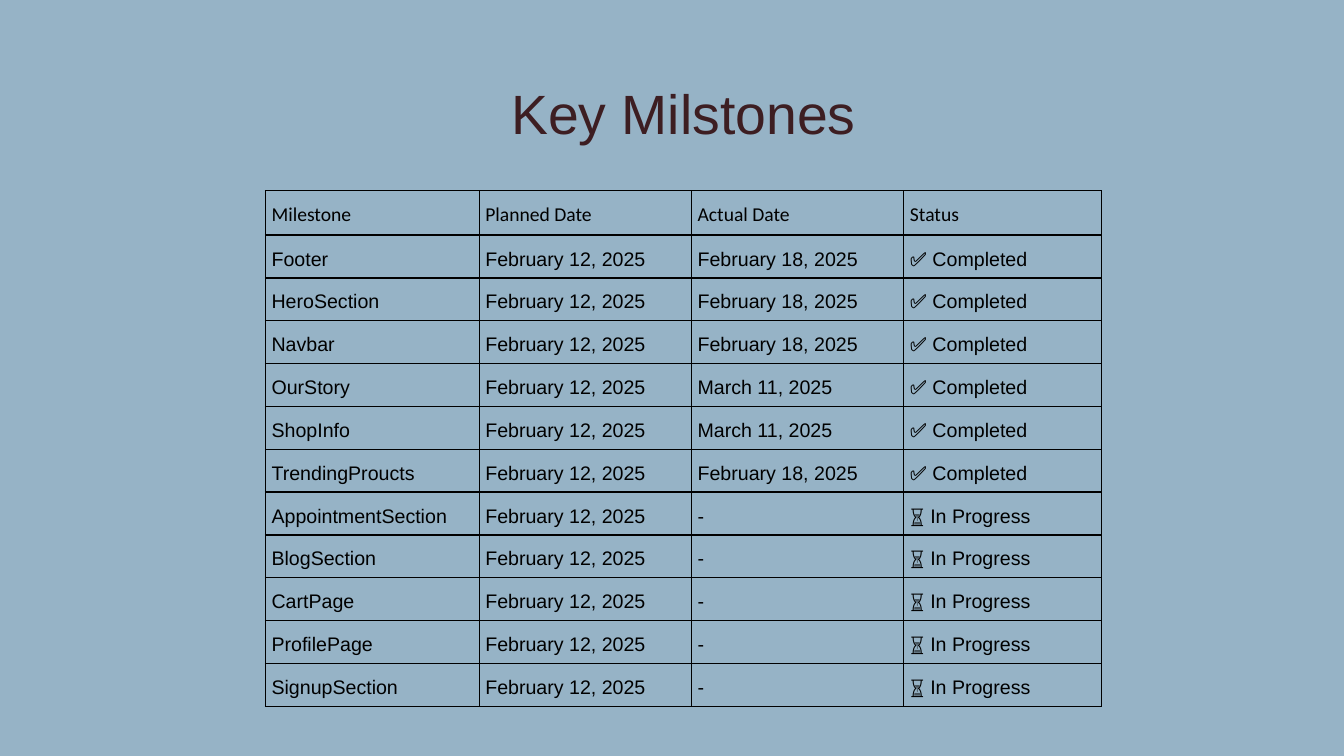
import dataclasses

import pptx
import pptx.dml.color
import pptx.enum.text
import pptx.oxml
import pptx.oxml.ns
import pptx.util

Pt = pptx.util.Pt


@dataclasses.dataclass(frozen=True)
class Theme:
    """Colours, fonts and type sizes of the slide."""

    back: str = "96B3C6"
    ink: str = "000000"
    title: str = "3D1E22"
    head_font: str = "Calibri"
    font: str = "Arial"
    title_size: float = 59.3
    size: float = 21
    title_lead: float = 49.8
    lead: float = 29.4
    rule: float = 1.5
    inset: float = 6.6


THEME = Theme()
PLAN = "February 12, 2025"
FEB, MARCH = "February 18, 2025", "March 11, 2025"
HEADS = ("Milestone", "Planned Date", "Actual Date", "Status")
DONE = (
    ("Footer", FEB),
    ("HeroSection", FEB),
    ("Navbar", FEB),
    ("OurStory", MARCH),
    ("ShopInfo", MARCH),
    ("TrendingProucts", FEB),
)
OPEN = ("AppointmentSection", "BlogSection", "CartPage", "ProfilePage", "SignupSection")
ROWS = (
    [HEADS]
    + [(name, PLAN, date, "✅ Completed") for name, date in DONE]
    + [(name, PLAN, "-", "⏳ In Progress") for name in OPEN]
)
COLS = (229, 227.5, 227.5, 211.5)
HEAD_HIGH, ROW_HIGH = 47.4, 45.9


def colour(code):
    """Return the RGB colour for a hex code."""
    return pptx.dml.color.RGBColor.from_string(code)


def write(frame, text, font, size, code, lead):
    """Write one run with its type and line spacing into a text frame."""
    para = frame.paragraphs[0]
    para.line_spacing = Pt(lead)
    run = para.add_run()
    run.text = text
    run.font.name = font
    run.font.size = Pt(size)
    run.font.color.rgb = colour(code)
    return para


def border(cell):
    """Rule all four sides of a table cell."""
    props = cell._tc.get_or_add_tcPr()
    space = pptx.oxml.ns.nsdecls("a")
    for place, side in enumerate(("lnL", "lnR", "lnT", "lnB")):
        line = pptx.oxml.parse_xml(
            f'<a:{side} {space} w="{Pt(THEME.rule)}"><a:solidFill>'
            f'<a:srgbClr val="{THEME.ink}"/></a:solidFill></a:{side}>'
        )
        props.insert(place, line)


def fill_cell(cell, text, font):
    """Set the text, insets, fill and border of a table cell."""
    cell.fill.background()
    cell.vertical_anchor = pptx.enum.text.MSO_ANCHOR.MIDDLE
    cell.margin_left = cell.margin_right = Pt(THEME.inset)
    cell.margin_top = cell.margin_bottom = Pt(THEME.inset)
    write(cell.text_frame, text, font, THEME.size, THEME.ink, THEME.lead)
    border(cell)


def add_grid(slide, left, top, width, height):
    """Place the milestone table in the given box."""
    frame = slide.shapes.add_table(
        len(ROWS), len(COLS), Pt(left), Pt(top), Pt(width), Pt(height)
    )
    table = frame.table
    table.first_row = table.horz_banding = False
    for col, wide in zip(table.columns, COLS):
        col.width = Pt(wide * width / sum(COLS))
    for i, texts in enumerate(ROWS):
        table.rows[i].height = Pt(ROW_HIGH if i else HEAD_HIGH)
        for j, text in enumerate(texts):
            fill_cell(table.cell(i, j), text, THEME.font if i else THEME.head_font)


def add_title(slide, left, top, width, height):
    """Place the centred title in the given box."""
    box = slide.shapes.add_textbox(Pt(left), Pt(top), Pt(width), Pt(height))
    frame = box.text_frame
    frame.word_wrap = True
    frame.auto_size = pptx.enum.text.MSO_AUTO_SIZE.SHAPE_TO_FIT_TEXT
    frame.margin_left = frame.margin_right = 0
    frame.margin_top = frame.margin_bottom = 0
    para = write(
        frame, "Key Milstones", THEME.font, THEME.title_size, THEME.title,
        THEME.title_lead,
    )
    para.alignment = pptx.enum.text.PP_ALIGN.CENTER


def main():
    """Build and save the slide."""
    deck = pptx.Presentation()
    deck.slide_width, deck.slide_height = Pt(1440), Pt(810)
    slide = deck.slides.add_slide(deck.slide_layouts[6])
    slide.background.fill.solid()
    slide.background.fill.fore_color.rgb = colour(THEME.back)
    high = HEAD_HIGH + ROW_HIGH * (len(ROWS) - 1)
    add_grid(slide, 284.4, 204.5, sum(COLS), high)
    add_title(slide, 335.5, 106.6, 793.4, 54)
    deck.save("out.pptx")


if __name__ == "__main__":
    main()
